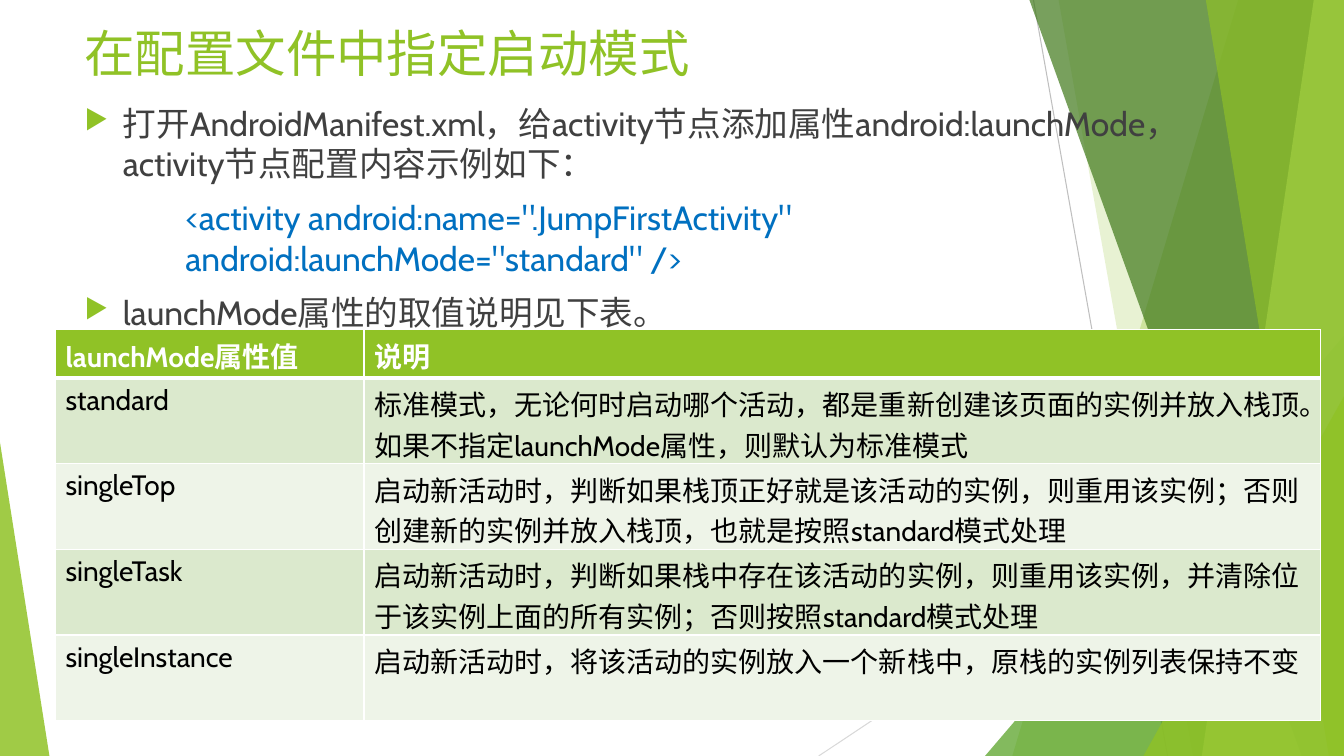
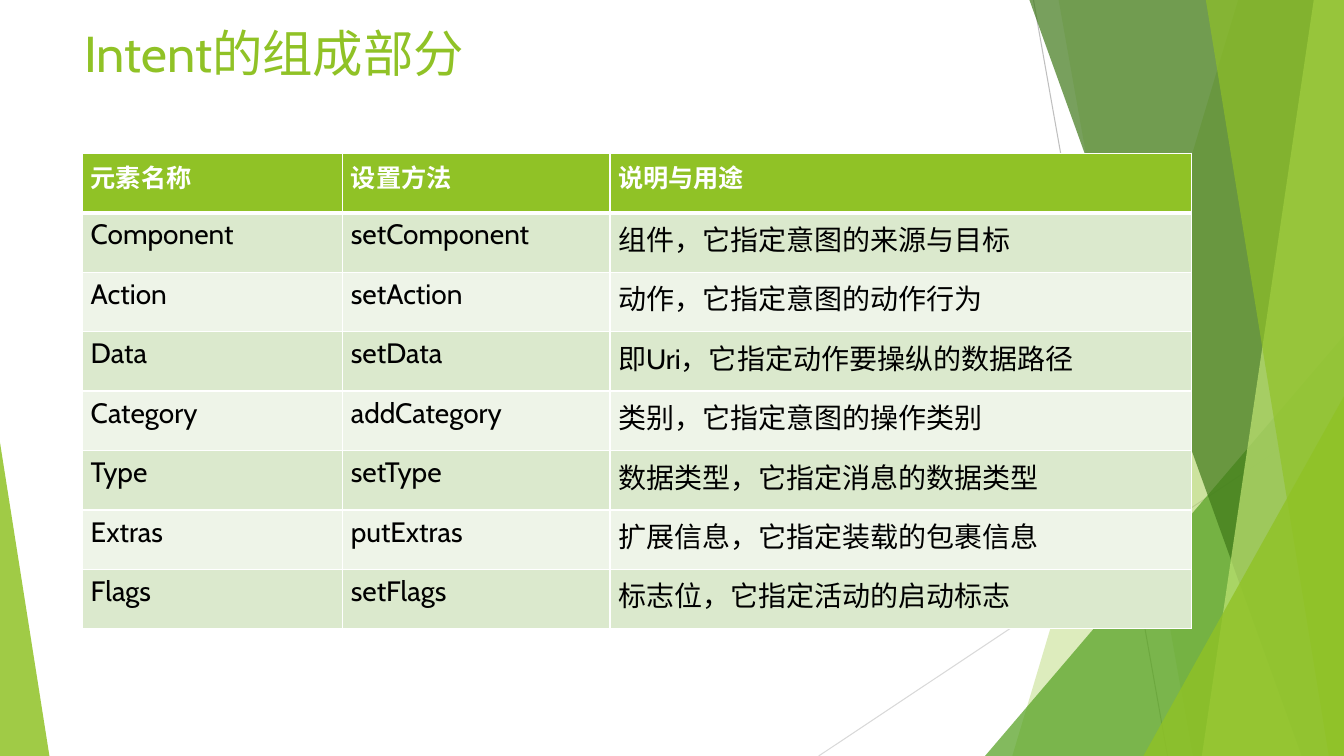
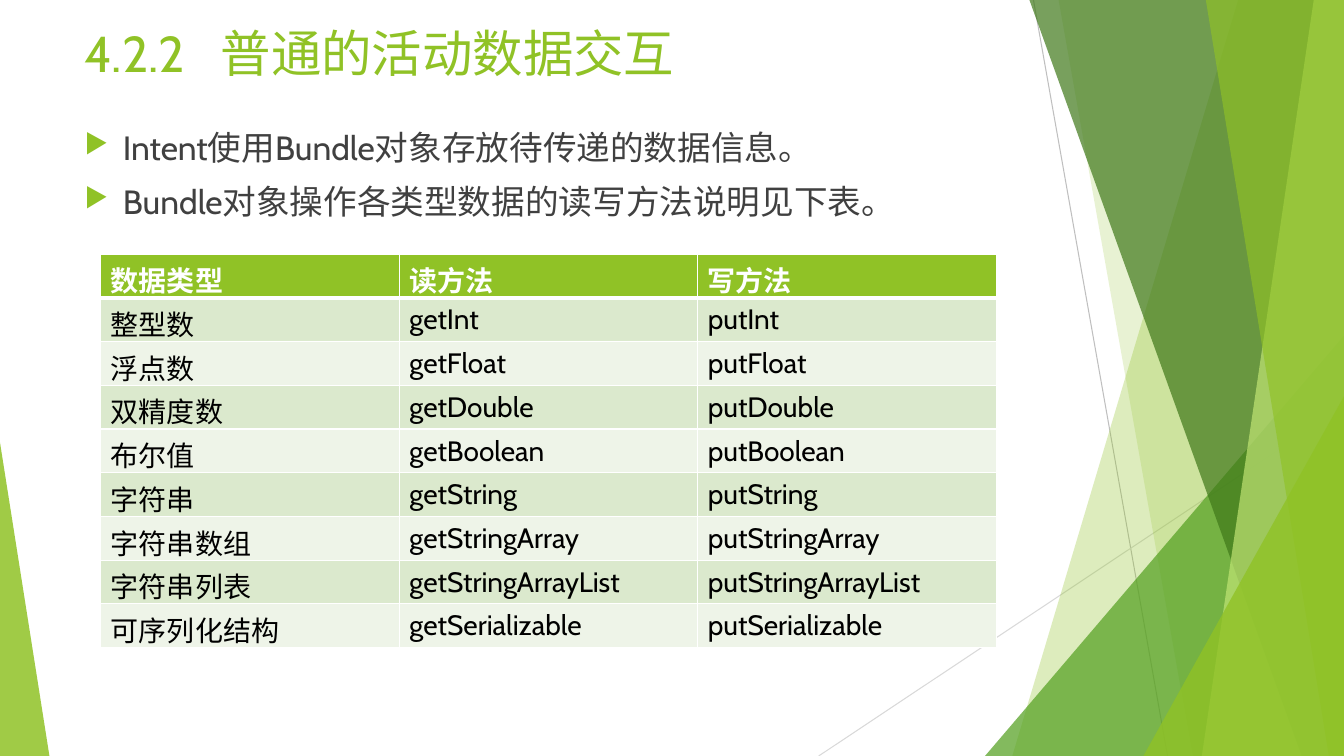
import dataclasses

import lxml.etree
import pptx
import pptx.dml.color
import pptx.enum.shapes
import pptx.oxml.ns
import pptx.util

Inches = pptx.util.Inches
Pt = pptx.util.Pt
qn = pptx.oxml.ns.qn


@dataclasses.dataclass(frozen=True)
class Theme:
    font: str = "Cabin"
    width: float = 13.33
    height: float = 7.5
    lime: str = "90C226"
    leaf: str = "54A021"
    forest: str = "3F7819"
    pale_lime: str = "C0E474"
    white: str = "FFFFFF"
    black: str = "000000"
    body_gray: str = "404040"
    code_blue: str = "0070C0"
    steep_line: str = "BFBFBF"
    shallow_line: str = "D9D9D9"
    bands: tuple = ("DBE9CD", "EEF4E8")
    title_size: int = 36
    body_size: int = 24
    cell_size: int = 20


def rgb(color):
    return pptx.dml.color.RGBColor.from_string(color)


def add_xml(parent, tag, **attributes):
    return lxml.etree.SubElement(parent, qn(tag), attributes)


class Deck:
    def __init__(self, theme):
        self.theme = theme
        self.deck = pptx.Presentation()
        self.deck.slide_width = Inches(theme.width)
        self.deck.slide_height = Inches(theme.height)
        self.page = None

    def add_page(self, title, title_tab=None):
        self.page = self.deck.slides.add_slide(self.deck.slide_layouts[6])
        self.backdrop()
        self.title(title, title_tab)

    def backdrop(self):
        """Draw the translucent facets along both edges."""
        theme = self.theme
        right, bottom = theme.width, theme.height
        self.line((10.25, 0), (11.58, bottom), theme.steep_line)
        self.line((right, 4.03), (8.12, bottom), theme.shallow_line)
        self.facet(12.28, 10.04, theme.lime, 30)
        self.facet(10.5, 11.83, theme.lime, 20)
        self.triangle(9.77, 3.33, 3.56, 1, theme.leaf, 72)
        self.facet(10.21, 12.91, theme.forest, 70)
        self.facet(13.03, 11.92, theme.pale_lime, 70)
        self.facet(11.96, 13.18, theme.lime, 65)
        self.triangle(11.34, 3.93, 1.99, 1, theme.lime, 80)
        self.triangle(0, 4.39, 0.49, 0, theme.lime, 85)

    def line(self, start, end, color):
        connector = self.page.shapes.add_connector(
            pptx.enum.shapes.MSO_CONNECTOR.STRAIGHT,
            *(Inches(value) for value in start + end))
        connector.line.color.rgb = rgb(color)
        connector.line.width = Pt(0.75)
        add_xml(connector.element.spPr, "a:effectLst")

    def facet(self, top_x, bottom_x, color, opacity):
        """Fill from a slanted left side to the right edge of the page."""
        right, bottom = Inches(self.theme.width), Inches(self.theme.height)
        builder = self.page.shapes.build_freeform(Inches(top_x), 0)
        builder.add_line_segments(
            [(right, 0), (right, bottom), (Inches(bottom_x), bottom)])
        self.paint(builder.convert_to_shape(), color, opacity)

    def triangle(self, left, top, width, apex, color, opacity):
        """Stand a triangle on the bottom edge of the page."""
        shape = self.page.shapes.add_shape(
            pptx.enum.shapes.MSO_SHAPE.ISOSCELES_TRIANGLE, Inches(left),
            Inches(top), Inches(width), Inches(self.theme.height - top))
        shape.adjustments[0] = apex
        self.paint(shape, color, opacity)

    def paint(self, shape, color, opacity):
        shape.shadow.inherit = False
        shape.fill.solid()
        shape.fill.fore_color.rgb = rgb(color)
        shape.line.fill.background()
        fill_color = next(shape.element.spPr.iter(qn("a:srgbClr")))
        add_xml(fill_color, "a:alpha", val=str(opacity * 1000))

    def text_box(self, left, top, width, height):
        box = self.page.shapes.add_textbox(
            Inches(left), Inches(top), Inches(width), Inches(height))
        box.text_frame.word_wrap = True
        return box.text_frame

    def style(self, paragraph, size, color, bold=False):
        for span in paragraph.runs:
            span.font.name = self.theme.font
            span.font.size = Pt(size)
            span.font.bold = bold
            span.font.color.rgb = rgb(color)

    def title(self, text, tab=None):
        frame = self.text_box(0.74, 0.17, 9.4, 1.04)
        frame.text = text
        para = frame.paragraphs[0]
        if tab:
            stops = add_xml(para._p.get_or_add_pPr(), "a:tabLst")
            add_xml(stops, "a:tab", pos=str(Inches(tab)), algn="l")
        self.style(para, self.theme.title_size, self.theme.lime)

    def body(self, top, width, height, items):
        """Write (text, is_code) items; those that are not code get bullets."""
        theme = self.theme
        frame = self.text_box(0.74, top, width, height)
        frame.text = "\n".join(text for text, _ in items)
        for index, (para, (_, is_code)) in enumerate(zip(frame.paragraphs, items)):
            properties = para._p.get_or_add_pPr()
            properties.set("marL", str(Inches(1 if is_code else 0.38)))
            properties.set("indent", str(Inches(0 if is_code else -0.38)))
            if not is_code:
                add_xml(add_xml(properties, "a:buClr"), "a:srgbClr", val=theme.lime)
                add_xml(properties, "a:buSzPct", val="80000")
                add_xml(properties, "a:buChar", char="▶")
            if index:
                para.space_before = Pt(10)
            self.style(para, theme.body_size,
                       theme.code_blue if is_code else theme.body_gray)

    def table(self, left, top, widths, heights, rows, header_size, side_margin=0.1):
        frame = self.page.shapes.add_table(
            len(rows), len(widths), Inches(left), Inches(top),
            Inches(sum(widths)), Inches(sum(heights)))
        table = frame.table
        table.horz_banding = False
        for column, width in zip(table.columns, widths):
            column.width = Inches(width)
        for row, height in zip(table.rows, heights):
            row.height = Inches(height)
        for row_index, texts in enumerate(rows):
            for column_index, text in enumerate(texts):
                cell = table.cell(row_index, column_index)
                cell.margin_left = cell.margin_right = Inches(side_margin)
                self.cell(cell, text, row_index, header_size)

    def cell(self, cell, text, row_index, header_size):
        theme = self.theme
        is_header = row_index == 0
        cell.text = text
        self.style(cell.text_frame.paragraphs[0],
                   header_size if is_header else theme.cell_size,
                   theme.white if is_header else theme.black, is_header)
        properties = cell._tc.get_or_add_tcPr()
        for side in "LRTB":
            is_thick = (row_index, side) in ((0, "B"), (1, "T"))
            border = add_xml(properties, f"a:ln{side}",
                             w=str(Pt(3 if is_thick else 1)))
            add_xml(add_xml(border, "a:solidFill"), "a:srgbClr", val=theme.white)
        cell.fill.solid()
        cell.fill.fore_color.rgb = rgb(
            theme.lime if is_header else theme.bands[(row_index - 1) % 2])

    def save(self):
        self.deck.save("out.pptx")


LAUNCH_MODES = [
    ("launchMode属性值", "说明"),
    ("standard", "标准模式，无论何时启动哪个活动，都是重新创建该页面的实例并放入栈顶。"
                 "如果不指定launchMode属性，则默认为标准模式"),
    ("singleTop", "启动新活动时，判断如果栈顶正好就是该活动的实例，则重用该实例；"
                  "否则创建新的实例并放入栈顶，也就是按照standard模式处理"),
    ("singleTask", "启动新活动时，判断如果栈中存在该活动的实例，则重用该实例，"
                   "并清除位于该实例上面的所有实例；否则按照standard模式处理"),
    ("singleInstance", "启动新活动时，将该活动的实例放入一个新栈中，原栈的实例列表保持不变"),
]

INTENT_PARTS = [
    ("元素名称", "设置方法", "说明与用途"),
    ("Component", "setComponent", "组件，它指定意图的来源与目标"),
    ("Action", "setAction", "动作，它指定意图的动作行为"),
    ("Data", "setData", "即Uri，它指定动作要操纵的数据路径"),
    ("Category", "addCategory", "类别，它指定意图的操作类别"),
    ("Type", "setType", "数据类型，它指定消息的数据类型"),
    ("Extras", "putExtras", "扩展信息，它指定装载的包裹信息"),
    ("Flags", "setFlags", "标志位，它指定活动的启动标志"),
]

BUNDLE_TYPES = [
    ("整型数", "Int"),
    ("浮点数", "Float"),
    ("双精度数", "Double"),
    ("布尔值", "Boolean"),
    ("字符串", "String"),
    ("字符串数组", "StringArray"),
    ("字符串列表", "StringArrayList"),
    ("可序列化结构", "Serializable"),
]


def main():
    deck = Deck(Theme())

    deck.add_page("在配置文件中指定启动模式")
    deck.body(0.97, 11.56, 2.3, [
        ("打开AndroidManifest.xml，给activity节点添加属性android:launchMode，"
         "activity节点配置内容示例如下：", False),
        ('<activity android:name=".JumpFirstActivity" '
         'android:launchMode="standard" />', True),
        ("launchMode属性的取值说明见下表。", False),
    ])
    deck.table(0.55, 3.27, [3.06, 9.49], [0.48] + [0.85] * 4, LAUNCH_MODES, 20)

    deck.add_page("Intent的组成部分")
    deck.table(0.82, 1.52, [2.58, 2.65, 5.77], [0.59] * len(INTENT_PARTS),
               INTENT_PARTS, 18, side_margin=0.08)

    deck.add_page("4.2.2\t普通的活动数据交互", title_tab=1.35)
    deck.body(1.21, 9.4, 4.24, [
        ("Intent使用Bundle对象存放待传递的数据信息。", False),
        ("Bundle对象操作各类型数据的读写方法说明见下表。", False),
    ])
    bundle_rows = [("数据类型", "读方法", "写方法")]
    bundle_rows += [(label, f"get{name}", f"put{name}") for label, name in BUNDLE_TYPES]
    deck.table(1, 2.52, [2.96] * 3, [0.41] * len(bundle_rows), bundle_rows, 20)

    deck.save()


if __name__ == "__main__":
    main()
